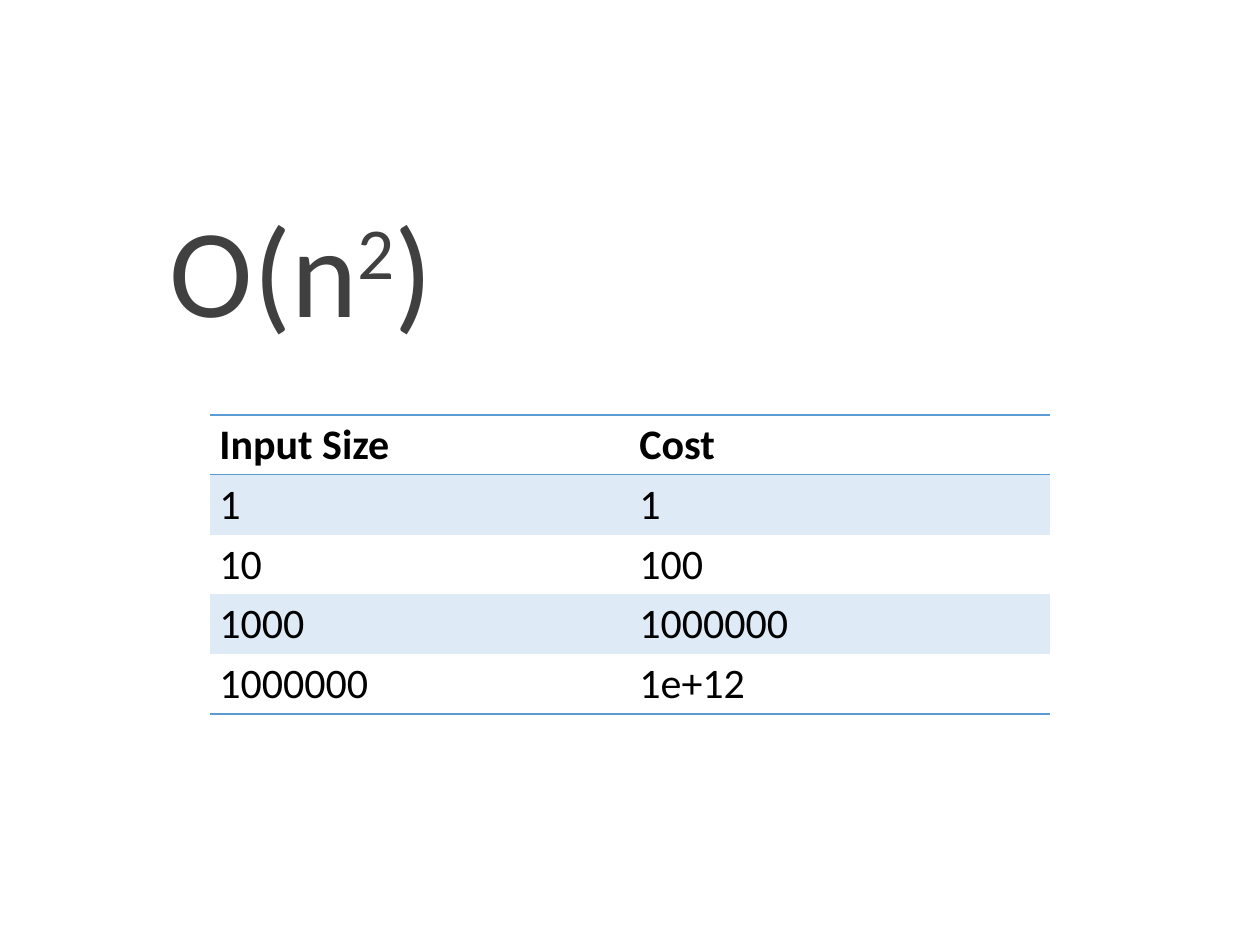
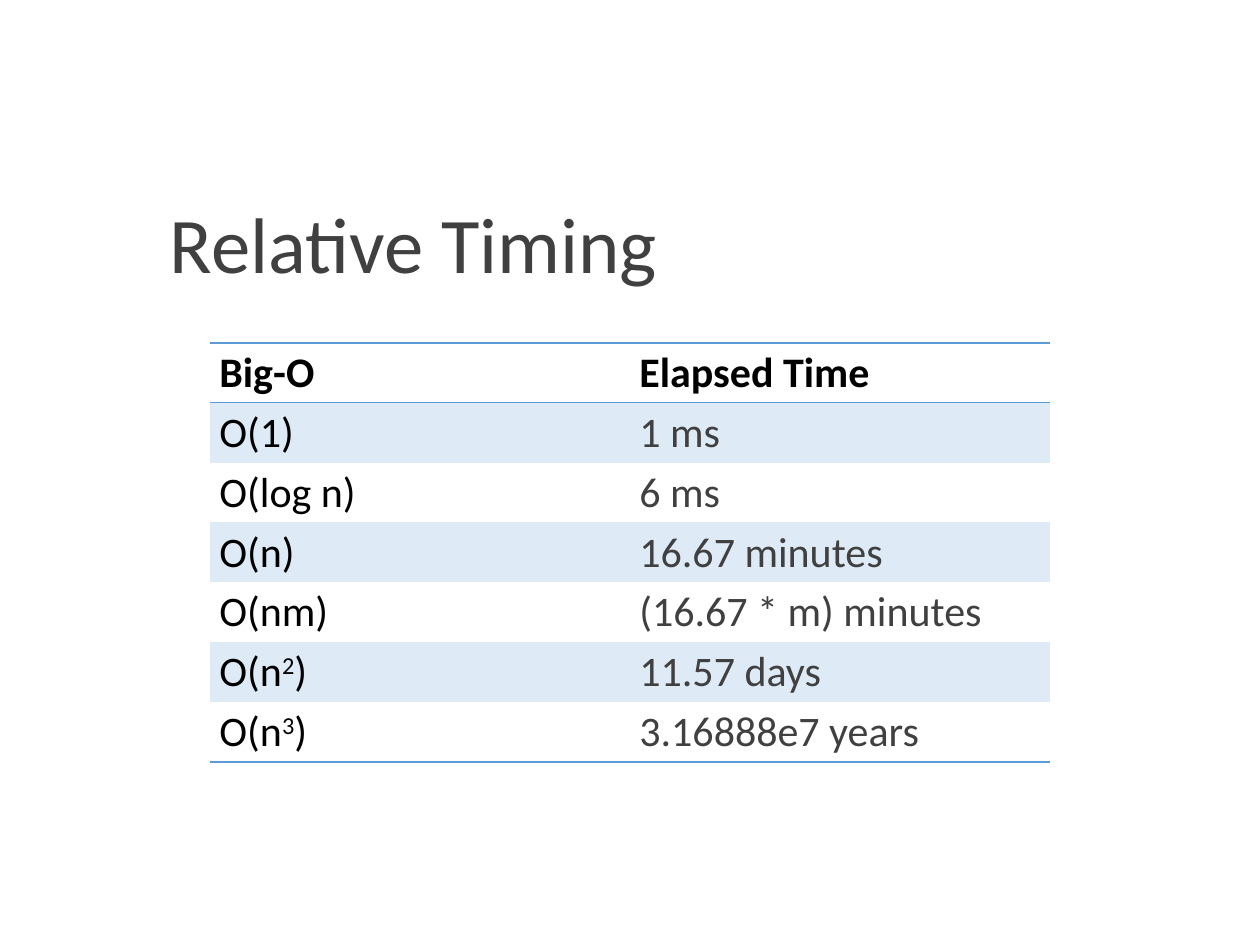
from lxml import etree
from pptx import Presentation
from pptx.dml.color import RGBColor
from pptx.enum.text import MSO_ANCHOR
from pptx.oxml.ns import qn
from pptx.util import Pt

PX = 3810
SLIDE_WIDTH, SLIDE_HEIGHT = 2400, 1800
TOP = MSO_ANCHOR.TOP
FONT = "Calibri"
BLACK = RGBColor(0x00, 0x00, 0x00)
CHARCOAL = RGBColor(0x40, 0x40, 0x40)
BLUE = RGBColor(0x5B, 0x9B, 0xD5)
PALE_BLUE = RGBColor(0xDE, 0xEB, 0xF7)
PLAIN_TABLE_STYLE = "{2D5ABB26-0587-4C30-8999-92F81FD0307C}"
TITLE_LEFT, TITLE_TOP, TITLE_HEIGHT = 300, 398, 283
TABLE_LEFT, TABLE_WIDTH, ROW_HEIGHT = 400, 1600, 114
TITLE_MARGINS = {"margin_left": 24, "margin_right": 24, "margin_top": 23, "margin_bottom": 12}
CELL_MARGINS = {"margin_left": 18, "margin_right": 18, "margin_top": 9, "margin_bottom": 9}

QUADRATIC_ROWS = [
    ("Input Size", "Cost"),
    ("1", "1"),
    ("10", "100"),
    ("1000", "1000000"),
    ("1000000", "1e+12"),
]
TIMING_ROWS = [
    ("Big-O", "Elapsed Time"),
    ("O(1)", "1 ms"),
    ("O(log n)", "6 ms"),
    ("O(n)", "16.67 minutes"),
    ("O(nm)", "(16.67 * m) minutes"),
    ("O(n^2^)", "11.57 days"),
    ("O(n^3^)", "3.16888e7 years"),
]


def set_margins(target, margins):
    """Apply px margins to a text frame or a table cell."""
    for name, value in margins.items():
        setattr(target, name, value * PX)


def write(paragraph, text, size, color, bold=False):
    """Write text into a paragraph, raising what stands between carets."""
    for index, part in enumerate(text.split("^")):
        run = paragraph.add_run()
        run.text = part
        for name, value in {"name": FONT, "size": Pt(size), "bold": bold}.items():
            setattr(run.font, name, value)
        run.font.color.rgb = color
        if index % 2:
            run._r.get_or_add_rPr().set("baseline", "30000")


def add_title(slide, text, width, size, line_spacing):
    """Add the slide heading in its text box."""
    box = slide.shapes.add_textbox(
        TITLE_LEFT * PX, TITLE_TOP * PX, width * PX, TITLE_HEIGHT * PX)
    frame = box.text_frame
    frame.word_wrap = True
    frame.vertical_anchor = TOP
    set_margins(frame, TITLE_MARGINS)
    paragraph = frame.paragraphs[0]
    paragraph.line_spacing = line_spacing
    write(paragraph, text, size, CHARCOAL)


def add_rule(cell, side):
    """Draw a one-point blue rule on a cell side, lnT or lnB."""
    line = etree.SubElement(cell._tc.get_or_add_tcPr(), qn(f"a:{side}"), w=str(Pt(1)))
    fill = etree.SubElement(line, qn("a:solidFill"))
    etree.SubElement(fill, qn("a:srgbClr"), val=str(BLUE))


def add_cost_table(slide, rows, top, value_color):
    """Add a two-column banded table with rules at header and foot."""
    columns = len(rows[0])
    table = slide.shapes.add_table(
        len(rows), columns, TABLE_LEFT * PX, top * PX,
        TABLE_WIDTH * PX, len(rows) * ROW_HEIGHT * PX).table
    table._tbl.tblPr.find(qn("a:tableStyleId")).text = PLAIN_TABLE_STYLE
    for row_index, row in enumerate(rows):
        is_header = row_index == 0
        for column_index, text in enumerate(row):
            cell = table.cell(row_index, column_index)
            set_margins(cell, CELL_MARGINS)
            if is_header:
                add_rule(cell, "lnT")
            if is_header or row_index == len(rows) - 1:
                add_rule(cell, "lnB")
            if row_index % 2:
                cell.fill.solid()
                cell.fill.fore_color.rgb = PALE_BLUE
            else:
                cell.fill.background()
            color = value_color if column_index and not is_header else BLACK
            write(cell.text_frame.paragraphs[0], text, 24, color, is_header)


def add_table_slide(presentation, title, table):
    """Add a slide with a heading above a cost table."""
    slide = presentation.slides.add_slide(presentation.slide_layouts[6])
    add_title(slide, **title)
    add_cost_table(slide, **table)


def main():
    """Build and save the presentation."""
    presentation = Presentation()
    presentation.slide_width = SLIDE_WIDTH * PX
    presentation.slide_height = SLIDE_HEIGHT * PX
    add_table_slide(
        presentation,
        {"text": "O(n^2^)", "width": 900, "size": 72, "line_spacing": 0.8},
        {"rows": QUADRATIC_ROWS, "top": 790, "value_color": BLACK})
    add_table_slide(
        presentation,
        {"text": "Relative Timing", "width": 1054, "size": 45, "line_spacing": 0.7},
        {"rows": TIMING_ROWS, "top": 653, "value_color": CHARCOAL})
    presentation.save("out.pptx")


if __name__ == "__main__":
    main()
